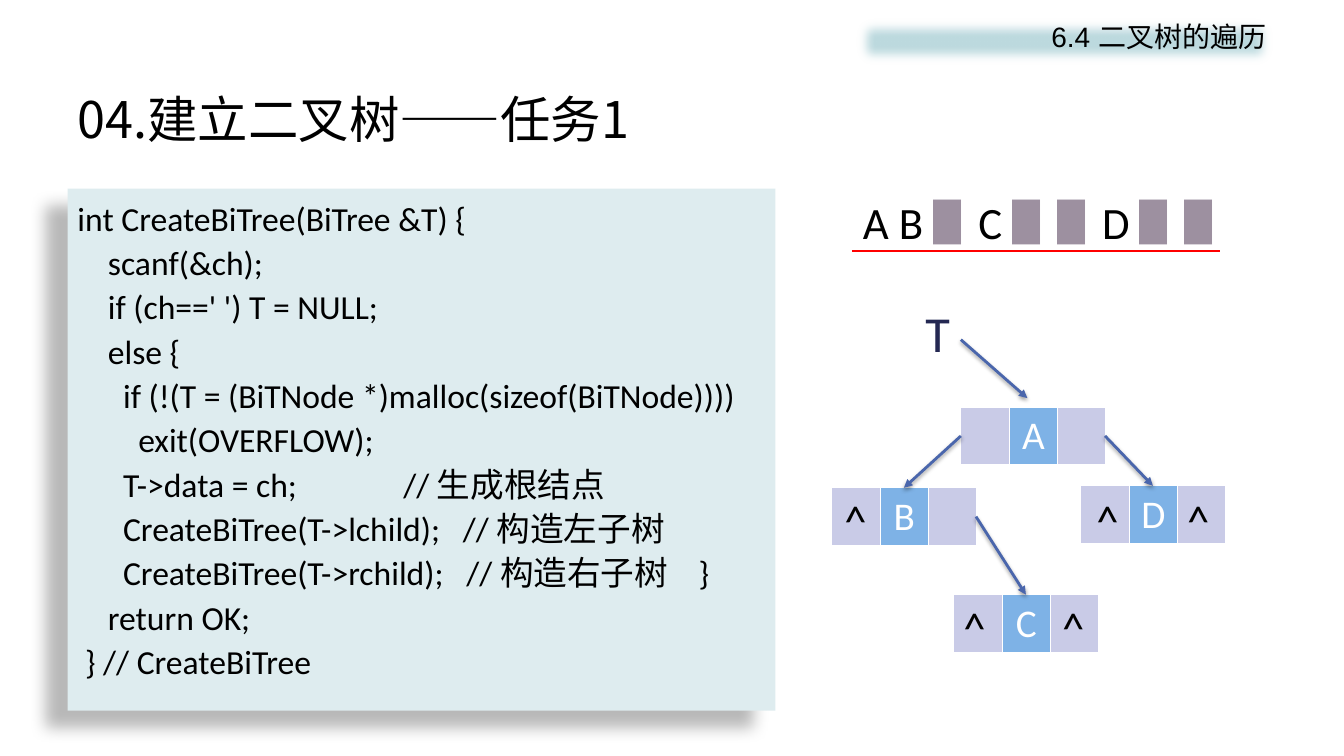
"""Build the slide on creating a binary tree from its preorder sequence."""
from dataclasses import dataclass

from lxml.etree import SubElement
from pptx import Presentation
from pptx.dml.color import RGBColor
from pptx.enum.shapes import MSO_CONNECTOR, MSO_SHAPE
from pptx.enum.text import MSO_ANCHOR, PP_ALIGN
from pptx.oxml.ns import qn
from pptx.util import Inches, Pt

LATIN = "Calibri"
CJK = "Noto Sans CJK SC"
BLACK = "000000"
WHITE = "FFFFFF"
BLANK_MARK = "9D90A0"
ARROW_BLUE = "4A66AC"
UNDERLINE_RED = "FF0000"
CELL_WIDTH = 0.48
NODE_WIDTH = 1.43
NODE_HEIGHT = 0.57


@dataclass(frozen=True)
class Node:
    letter: str
    left: float
    top: float
    null_marks: tuple[tuple[float, float], ...] = ()

    @property
    def left_link(self):
        return self.left, self.top + NODE_HEIGHT / 2

    @property
    def right_link(self):
        return self.left + NODE_WIDTH, self.top + NODE_HEIGHT / 2

    @property
    def entry(self):
        return self.left + NODE_WIDTH / 2, self.top


@dataclass(frozen=True)
class Shadow:
    opacity: int
    blur: float
    distance: float
    angle: int


CODE = """int CreateBiTree(BiTree &T) {
    scanf(&ch);
    if (ch==' ') T = NULL;
    else {
      if (!(T = (BiTNode *)malloc(sizeof(BiTNode))))
        exit(OVERFLOW);
      T->data = ch;              // 生成根结点
      CreateBiTree(T->lchild);   // 构造左子树
      CreateBiTree(T->rchild);   // 构造右子树    }
    return OK;
 } // CreateBiTree"""
SEQUENCE = ("A B ", "▋", "C ", "▋▋", "D ", "▋▋")
UNDERLINE_STARTS = (8.45, 8.78, 9.19, 9.54, 9.91, 10.36, 10.76, 11.19, 11.62)

NODE_A = Node("A", 9.53, 4.04)
NODE_B = Node("B", 8.25, 4.84, ((8.27, 4.84),))
NODE_C = Node("C", 9.46, 5.9, ((9.45, 5.9), (10.43, 5.9)))
NODE_D = Node("D", 10.72, 4.82, ((10.77, 4.84), (11.67, 4.84)))
LINKS = (
    (NODE_A.left_link, NODE_B.entry),
    (NODE_A.right_link, NODE_D.entry),
    (NODE_B.right_link, NODE_C.entry),
    ((9.53, 3.37), (10.19, 3.95)),
)
CODE_SHADOW = Shadow(28, 11.8, 19.7, 141)
ARROW_SHADOW = Shadow(38, 3.1, 1.6, 90)


def rgb(color: str) -> RGBColor:
    return RGBColor.from_string(color)


def set_font(font, properties, size: float, color: str, typeface: str) -> None:
    font.size = Pt(size)
    font.color.rgb = rgb(color)
    font.name = typeface
    SubElement(properties, qn("a:ea"), typeface=typeface)


def write(paragraph, text: str, size: float, color: str = BLACK,
          typeface: str = LATIN, align=PP_ALIGN.LEFT) -> None:
    paragraph.add_run().text = text
    paragraph.alignment = align
    font = paragraph.font
    set_font(font, paragraph._p.pPr.find(qn("a:defRPr")), size, color, typeface)


def add_shadow(effects, shadow: Shadow) -> None:
    outer = SubElement(effects, qn("a:outerShdw"), blurRad=str(Pt(shadow.blur)),
                       dist=str(Pt(shadow.distance)), dir=str(shadow.angle * 60000),
                       algn="ctr", rotWithShape="0")
    tint = SubElement(outer, qn("a:srgbClr"), val=BLACK)
    SubElement(tint, qn("a:alpha"), val=str(shadow.opacity * 1000))


def add_label(slide, left: float, top: float, width: float, height: float,
              wrap: bool = False):
    frame = slide.shapes.add_textbox(
        Inches(left), Inches(top), Inches(width), Inches(height)).text_frame
    frame.word_wrap = wrap
    return frame


def add_panel(slide, left: float, top: float, width: float, height: float, fill: str):
    panel = slide.shapes.add_shape(MSO_SHAPE.RECTANGLE, Inches(left), Inches(top),
                                   Inches(width), Inches(height))
    panel.fill.solid()
    panel.fill.fore_color.rgb = rgb(fill)
    panel.line.fill.background()
    panel.shadow.inherit = False
    panel.text_frame.word_wrap = True
    panel.text_frame.vertical_anchor = MSO_ANCHOR.TOP
    return panel.text_frame, panel._element.spPr.find(qn("a:effectLst"))


def add_line(slide, start: tuple[float, float], end: tuple[float, float],
             color: str, shadow: Shadow | None = None) -> None:
    line = slide.shapes.add_connector(
        MSO_CONNECTOR.STRAIGHT, *(Inches(value) for value in (*start, *end)))
    line.line.color.rgb = rgb(color)
    line.line.width = Pt(2)
    properties = line._element.spPr
    effects = SubElement(properties, qn("a:effectLst"))
    if shadow:
        SubElement(properties.find(qn("a:ln")), qn("a:tailEnd"), type="triangle")
        add_shadow(effects, shadow)


def add_node(slide, node: Node) -> None:
    table = slide.shapes.add_table(1, 3, Inches(node.left), Inches(node.top),
                                   Inches(NODE_WIDTH), Inches(NODE_HEIGHT)).table
    table.first_row = table.horz_banding = False
    for column in table.columns:
        column.width = Inches(CELL_WIDTH)
    for cell, text in zip(table.rows[0].cells, ("", node.letter, "")):
        cell_properties = cell._tc.get_or_add_tcPr()
        for side in ("a:lnL", "a:lnR", "a:lnT", "a:lnB"):
            border = SubElement(cell_properties, qn(side), w=str(Pt(1)))
            SubElement(SubElement(border, qn("a:solidFill")), qn("a:srgbClr"), val=WHITE)
        cell.fill.solid()
        cell.fill.fore_color.rgb = rgb("7EB2E6" if text else "C9CBE7")
        cell.vertical_anchor = MSO_ANCHOR.MIDDLE
        if text:
            write(cell.text_frame.paragraphs[0], text, 28, WHITE, align=PP_ALIGN.CENTER)


def add_sequence(slide) -> None:
    paragraph = add_label(slide, 8.46, 1.87, 3.87, 0.64).paragraphs[0]
    paragraph.line_spacing = Pt(39)
    for text in SEQUENCE:
        run = paragraph.add_run()
        run.text = text
        color, typeface = (BLANK_MARK, CJK) if "▋" in text else (BLACK, LATIN)
        set_font(run.font, run._r.get_or_add_rPr(), 32, color, typeface)


def main() -> None:
    deck = Presentation()
    deck.slide_width, deck.slide_height = Inches(13.33), Inches(7.5)
    slide = deck.slides.add_slide(deck.slide_layouts[6])

    title = add_label(slide, 0.67, 0.8, 12, 0.75, wrap=True)
    title.vertical_anchor = MSO_ANCHOR.MIDDLE
    write(title.paragraphs[0], "04.建立二叉树——任务1", 36, typeface=CJK)

    section, section_effects = add_panel(slide, 8.46, 0.14, 4.2, 0.54, "BDDADF")
    SubElement(section_effects, qn("a:softEdge"), rad=str(Inches(0.12)))
    write(section.paragraphs[0], "6.4 二叉树的遍历", 20, typeface="Arial",
          align=PP_ALIGN.RIGHT)

    listing, listing_effects = add_panel(slide, 0.67, 1.87, 7.02, 5.18, "DEECEF")
    add_shadow(listing_effects, CODE_SHADOW)
    for index, code_line in enumerate(CODE.splitlines()):
        paragraph = listing.add_paragraph() if index else listing.paragraphs[0]
        paragraph.line_spacing = 1.1
        write(paragraph, code_line, 24)

    add_sequence(slide)
    nodes = (NODE_A, NODE_B, NODE_C, NODE_D)
    for node in nodes:
        add_node(slide, node)
    for start, end in LINKS:
        add_line(slide, start, end, ARROW_BLUE, ARROW_SHADOW)
    write(add_label(slide, 9.08, 2.95, 0.45, 0.71).paragraphs[0], "T", 36, "242852")
    for node in nodes:
        for left, top in node.null_marks:
            write(add_label(slide, left, top, 0.43, 0.64).paragraphs[0], "^", 32,
                  align=PP_ALIGN.CENTER)
    for start in UNDERLINE_STARTS:
        add_line(slide, (start, 2.49), (start + CELL_WIDTH, 2.49), UNDERLINE_RED)

    deck.save("out.pptx")


if __name__ == "__main__":
    main()
